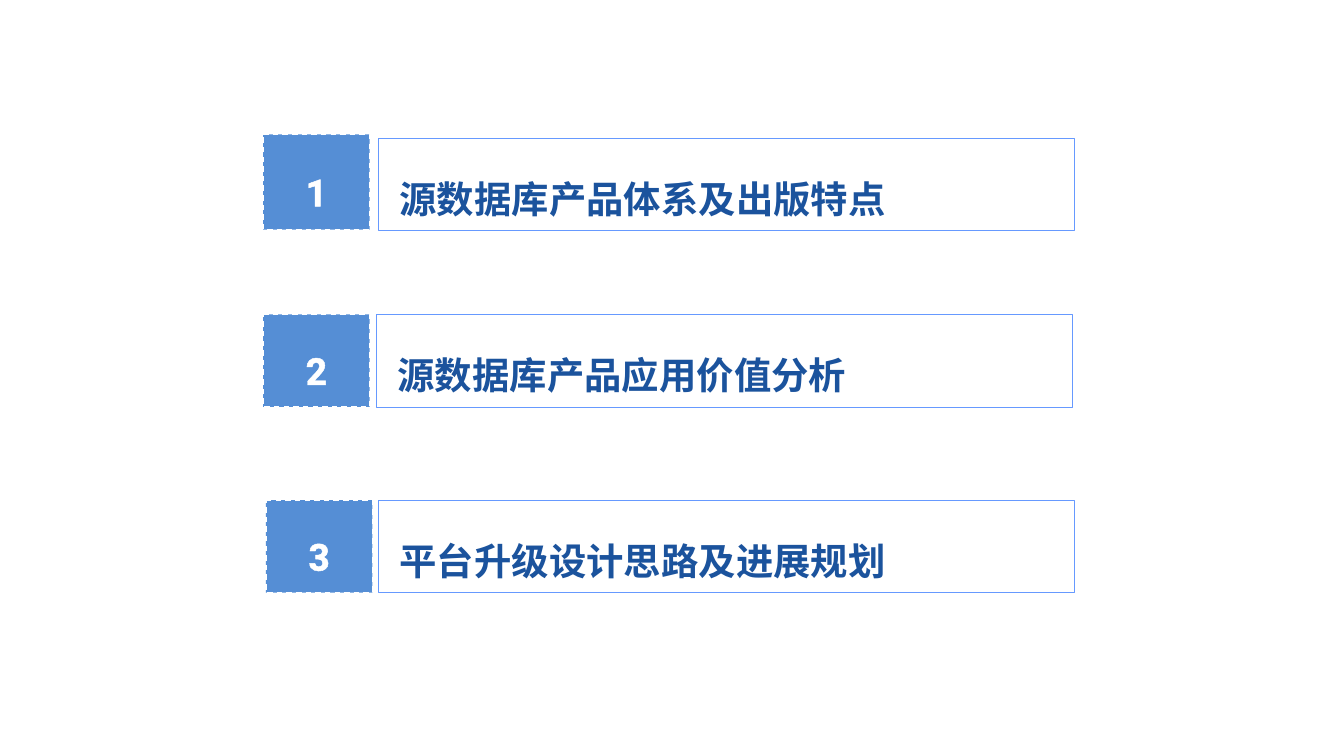
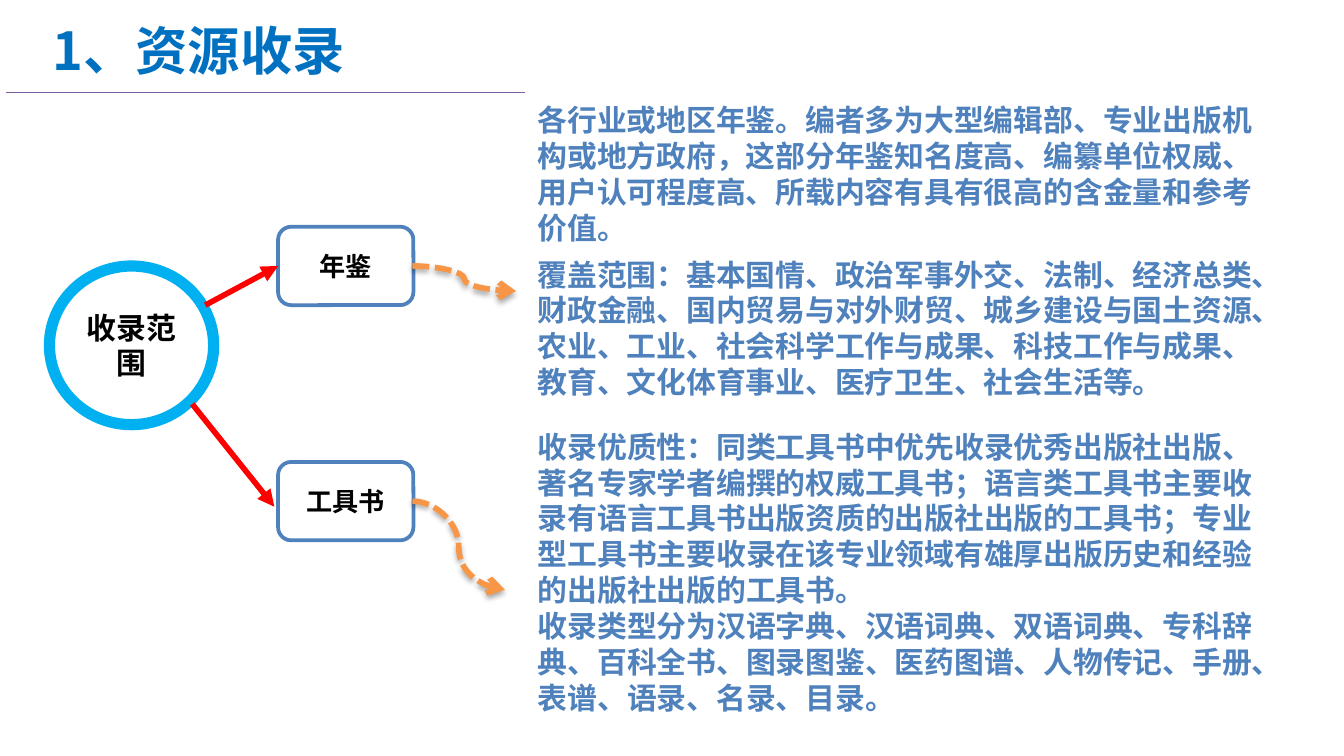
from dataclasses import dataclass

from lxml import etree
from pptx import Presentation
from pptx.dml.color import RGBColor
from pptx.enum.dml import MSO_LINE
from pptx.enum.shapes import MSO_CONNECTOR, MSO_SHAPE
from pptx.enum.text import MSO_ANCHOR, MSO_AUTO_SIZE, PP_ALIGN
from pptx.oxml import parse_xml
from pptx.oxml.ns import nsdecls, qn
from pptx.util import Pt

ROUNDED, ELLIPSE = MSO_SHAPE.ROUNDED_RECTANGLE, MSO_SHAPE.OVAL
STRAIGHT, CURVE = MSO_CONNECTOR.STRAIGHT, MSO_CONNECTOR.CURVE
DASH, SHORT_DASH = MSO_LINE.DASH, MSO_LINE.SQUARE_DOT
LEFT, CENTER = PP_ALIGN.LEFT, PP_ALIGN.CENTER
TITLE_ONLY, BLANK = 5, 6


@dataclass(frozen=True)
class Theme:
    # Colours
    white: str = "FFFFFF"
    black: str = "000000"
    number_fill: str = "558ED5"
    bar_line: str = "6699FF"
    bar_text: str = "1B539D"
    title: str = "0070C0"
    rule: str = "7D60A0"
    ring: str = "00B0F0"
    blue: str = "4F81BD"
    red: str = "FF0000"
    orange: str = "F79646"
    # Fonts
    cjk: str = "Noto Sans CJK SC"
    digits: str = "Roboto"
    prose: str = "Calibri"
    # Type sizes
    title_size: int = 28
    agenda_size: int = 20
    text_size: int = 16
    branch_size: int = 14


class Deck:
    """Holds the theme and the slide being built."""

    def __init__(self, theme):
        self.theme = theme
        self.prs = Presentation()
        self.prs.slide_width, self.prs.slide_height = Pt(720), Pt(405)
        self.slide = None

    def new_slide(self, layout):
        self.slide = self.prs.slides.add_slide(self.prs.slide_layouts[layout])

    def set_text(self, frame, paragraphs, size, color, font, align=LEFT,
                 spacing=None, gap=0):
        frame.word_wrap = True
        frame.text = "\n".join(paragraphs)
        for index, paragraph in enumerate(frame.paragraphs):
            paragraph.alignment = align
            paragraph.space_before = Pt(gap if index else 0)
            if spacing:
                paragraph.line_spacing = Pt(spacing)
            for run in paragraph.runs:
                run.font.size, run.font.bold = Pt(size), True
                run.font.color.rgb = RGBColor.from_string(color)
                run.font.name = font
                latin = run.font._element.find(qn("a:latin"))
                latin.addnext(parse_xml(f'<a:ea {nsdecls("a")} typeface="{font}"/>'))

    def title(self, text):
        heading = self.slide.shapes.title
        heading.left, heading.top, heading.width, heading.height = map(
            Pt, (21, 9.5, 364, 34.5))
        frame = heading.text_frame
        frame.auto_size = MSO_AUTO_SIZE.NONE
        frame.vertical_anchor = MSO_ANCHOR.MIDDLE
        self.set_text(frame, [text], self.theme.title_size, self.theme.title,
                      self.theme.cjk)
        self.line((3, 49.5), (281, 49.5), self.theme.rule, 0.75)

    def box(self, kind, place, text, fill, line, weight, size, color, font,
            insets=(0, 3.6, 0, 3.6), align=CENTER, spacing=None, corner=None,
            dash=None):
        shape = self.slide.shapes.add_shape(kind, *map(Pt, place))
        shape.shadow.inherit = False
        if corner is not None:
            shape.adjustments[0] = corner
        shape.fill.solid()
        shape.fill.fore_color.rgb = RGBColor.from_string(fill)
        shape.line.color.rgb = RGBColor.from_string(line)
        shape.line.width = Pt(weight)
        if dash:
            shape.line.dash_style = dash
        frame = shape.text_frame
        frame.vertical_anchor = MSO_ANCHOR.MIDDLE
        (frame.margin_left, frame.margin_top,
         frame.margin_right, frame.margin_bottom) = map(Pt, insets)
        self.set_text(frame, [text], size, color, font, align, spacing)
        return shape

    def prose(self, place, paragraphs, gap=0):
        frame = self.slide.shapes.add_textbox(*map(Pt, place)).text_frame
        self.set_text(frame, paragraphs, self.theme.text_size, self.theme.blue,
                      self.theme.prose, gap=gap)
        frame.auto_size = MSO_AUTO_SIZE.SHAPE_TO_FIT_TEXT

    def line(self, start, end, color, weight, kind=STRAIGHT, dash=None,
             head=None, shadow=False):
        link = self.slide.shapes.add_connector(kind, *map(Pt, start + end))
        link.line.color.rgb = RGBColor.from_string(color)
        link.line.width = Pt(weight)
        if dash:
            link.line.dash_style = dash
        properties = link._element.spPr
        if head:
            etree.SubElement(properties.find(qn("a:ln")), qn("a:tailEnd"), type=head)
        effects = etree.SubElement(properties, qn("a:effectLst"))
        if shadow:
            effects.append(parse_xml(
                f'<a:outerShdw {nsdecls("a")} blurRad="{Pt(3.1)}" dist="{Pt(1.8)}" '
                'dir="5400000" rotWithShape="0"><a:srgbClr val="000000">'
                '<a:alpha val="35000"/></a:srgbClr></a:outerShdw>'))

    def agenda_row(self, number, text, number_place, bar_place):
        t = self.theme
        badge = self.box(ROUNDED, number_place, number, t.number_fill, t.white, 0.75,
                         t.agenda_size, t.white, t.digits, (7.2, 7.6, 7.2, 3.6),
                         spacing=30, corner=0, dash=DASH)
        # White outline around the digit
        font = badge.text_frame.paragraphs[0].runs[0].font
        font._element.insert(0, parse_xml(
            f'<a:ln {nsdecls("a")} w="{Pt(0.75)}"><a:solidFill>'
            f'<a:srgbClr val="{t.white}"/></a:solidFill></a:ln>'))
        self.box(ROUNDED, bar_place, text, t.white, t.bar_line, 0.25,
                 t.agenda_size, t.bar_text, t.cjk, (11.5, 12.6, 7.2, 3.6),
                 align=LEFT, spacing=30, corner=0)

    def branch(self, text, top, spoke, pointer_end):
        """A labelled box with its arrow in from the hub and out to the prose."""
        t = self.theme
        self.box(ROUNDED, (149, top, 72.5, 42), text, t.white, t.blue, 2,
                 t.branch_size, t.black, t.cjk)
        self.line(*spoke, t.red, 3, head="triangle")
        self.line((221, top + 21), pointer_end, t.orange, 3, CURVE, SHORT_DASH,
                  "arrow", shadow=True)


def build_agenda(deck):
    deck.new_slide(BLANK)
    rows = [
        ("源数据库产品体系及出版特点", (141, 72, 57, 51), (202.5, 74)),
        ("源数据库产品应用价值分析", (141, 168.5, 57, 49.5), (201.5, 168.5)),
        ("平台升级设计思路及进展规划", (142.5, 268, 57, 49.5), (202.5, 268)),
    ]
    for number, (text, number_place, bar_corner) in enumerate(rows, 1):
        deck.agenda_row(str(number), text, number_place, bar_corner + (373, 49.5))


def build_coverage(deck):
    t = deck.theme
    deck.new_slide(TITLE_ONLY)
    deck.title("1、资源收录")

    # Hub and its two branches
    deck.box(ELLIPSE, (26.5, 142.5, 88, 85), "收录范围", t.white, t.ring, 6,
             t.text_size, t.black, t.cjk, spacing=19)
    deck.branch("年鉴", 121.5, ((110, 163.5), (149, 142.5)), (276.5, 156))
    deck.branch("工具书", 247.5, ((103, 216.5), (147, 271.5)), (270.5, 316))

    # Descriptions
    deck.prose((281, 51, 410.5, 167), [
        "各行业或地区年鉴。编者多为大型编辑部、专业出版机构或地方政府，这部分年鉴"
        "知名度高、编纂单位权威、用户认可程度高、所载内容有具有很高的含金量和参考价值。",
        "覆盖范围：基本国情、政治军事外交、法制、经济总类、财政金融、国内贸易与对外财贸、"
        "城乡建设与国土资源、农业、工业、社会科学工作与成果、科技工作与成果、教育、"
        "文化体育事业、医疗卫生、社会生活等。",
    ], gap=6)
    deck.prose((281, 226, 403, 160.5), [
        "收录优质性：同类工具书中优先收录优秀出版社出版、著名专家学者编撰的权威工具书；"
        "语言类工具书主要收录有语言工具书出版资质的出版社出版的工具书；专业型工具书"
        "主要收录在该专业领域有雄厚出版历史和经验的出版社出版的工具书。",
        "收录类型分为汉语字典、汉语词典、双语词典、专科辞典、百科全书、图录图鉴、"
        "医药图谱、人物传记、手册、表谱、语录、名录、目录。",
    ])


def main():
    deck = Deck(Theme())
    build_agenda(deck)
    build_coverage(deck)
    deck.prs.save("out.pptx")


if __name__ == "__main__":
    main()
